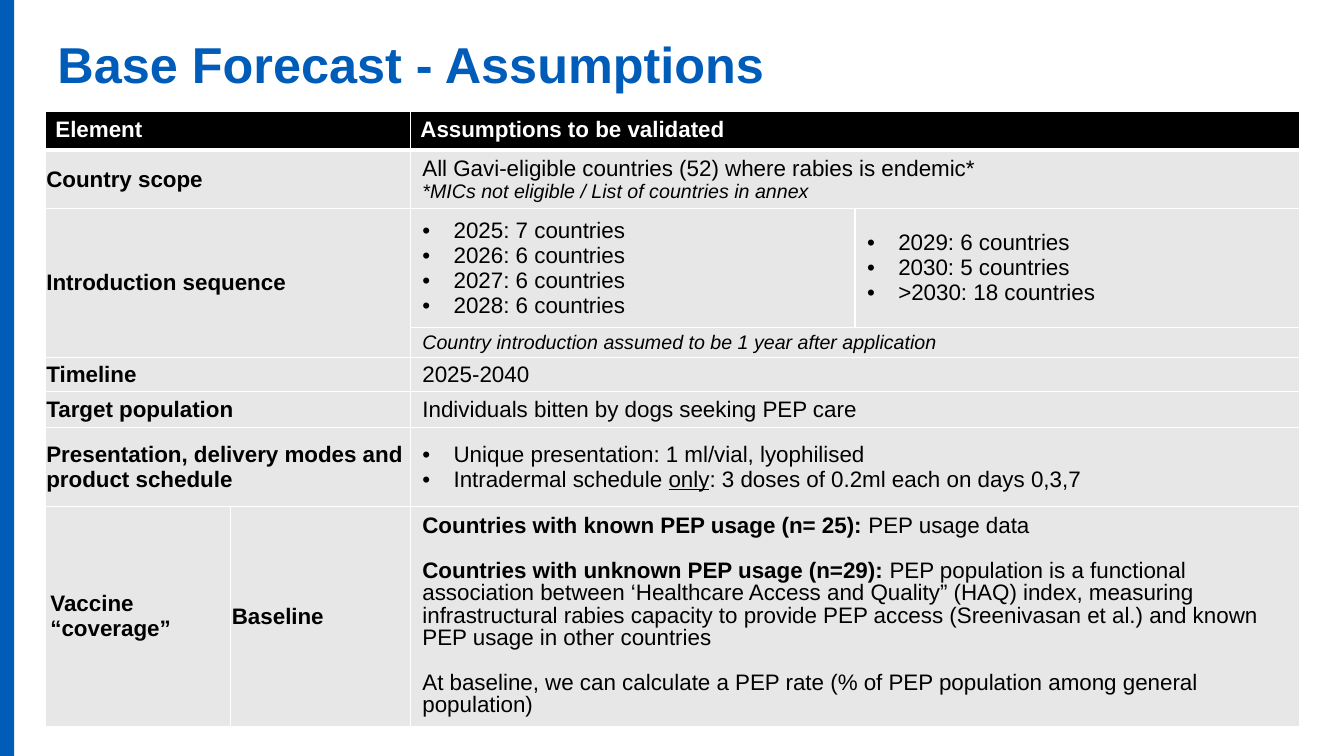
from lxml.etree import SubElement
from pptx import Presentation
from pptx.dml.color import RGBColor
from pptx.enum.shapes import MSO_SHAPE as Preset
from pptx.enum.text import MSO_ANCHOR as Anchor
from pptx.oxml.ns import qn
from pptx.util import Inches, Pt

BLUE, BLACK, WHITE, GREY = "005CB9", "000000", "FFFFFF", "E7E7E7"
COLUMN_WIDTHS = [1.84, 1.78, 4.41, 4.41]
ROW_HEIGHTS = [0.38, 0.58, 1.18, 0.28, 0.34, 0.36, 0.78, 2.05]

BOLD = {"bold": True}
NOTE = {"size": Pt(14), "italic": True}
HEADER = {"fill": BLACK, "color": WHITE, "margins": (0.1, 0.05, 0.1, 0.05), "anchor": Anchor.TOP}
LABEL = {"margins": (0.01, 0.03, 0.01, 0.03)}
VALUE = {"margins": (0.12, 0.03, 0.1, 0.03)}
BULLETS = {**VALUE, "bulleted": True}
WIDE_BULLETS = {**BULLETS, "margins": (0.12, 0.03, 0.01, 0.03)}
COVERAGE = {"margins": (0.05, 0.07, 0.05, 0.07)}
BASELINE = {**VALUE, "line_spacing": 0.9, "gap": Pt(16)}


def rgb(color):
    return RGBColor.from_string(color)


def set_attributes(target, values):
    for name, value in values.items():
        setattr(target, name, value)


def set_margins(frame, margins):
    sides = ("margin_left", "margin_top", "margin_right", "margin_bottom")
    set_attributes(frame, {side: Inches(size) for side, size in zip(sides, margins)})


def add_bullet(paragraph):
    properties = paragraph._p.get_or_add_pPr()
    properties.set("marL", str(Inches(0.31)))
    properties.set("indent", str(-Inches(0.31)))
    SubElement(properties, qn("a:buFont")).set("typeface", "Arial")
    SubElement(properties, qn("a:buChar")).set("char", "•")


def write_text(frame, paragraphs, color=BLACK, bulleted=False, line_spacing=None, gap=None):
    for index, runs in enumerate(paragraphs):
        paragraph = frame.add_paragraph() if index else frame.paragraphs[0]
        if bulleted:
            add_bullet(paragraph)
        if line_spacing:
            paragraph.line_spacing = line_spacing
        if gap and index:
            paragraph.space_before = gap
        for text, formats in runs:
            run = paragraph.add_run()
            run.text = text
            set_attributes(run.font, {"name": "Arial", "size": Pt(16), "bold": False, **formats})
            run.font.color.rgb = rgb(color)


def add_borders(cell, bottom_width):
    properties = cell._tc.get_or_add_tcPr()
    for side, width in (("L", 1), ("R", 1), ("T", 1), ("B", bottom_width)):
        line = SubElement(properties, qn(f"a:ln{side}"), w=str(Pt(width)))
        fill = SubElement(line, qn("a:solidFill"))
        SubElement(fill, qn("a:srgbClr")).set("val", WHITE)


def style_grid(table):
    for row_index, row in enumerate(table.rows):
        for cell in row.cells:
            add_borders(cell, 1 if row_index else 3)
            cell.fill.solid()
            cell.fill.fore_color.rgb = rgb(GREY if row_index else BLACK)


def fill_cell(table, row, column, paragraphs, style, span=(1, 1)):
    cell = table.cell(row, column)
    if span != (1, 1):
        cell.merge(table.cell(row + span[0] - 1, column + span[1] - 1))
    options = {name: style[name] for name in ("color", "bulleted", "line_spacing", "gap") if name in style}
    cell.vertical_anchor = style.get("anchor", Anchor.MIDDLE)
    set_margins(cell, style["margins"])
    write_text(cell.text_frame, paragraphs, **options)


def add_side_bar(slide):
    shape = slide.shapes.add_shape(Preset.RECTANGLE, 0, 0, Inches(0.14), Inches(7.5))
    shape.shadow.inherit = False
    shape.fill.solid()
    shape.fill.fore_color.rgb = rgb(BLUE)
    shape.line.fill.background()


def add_title(slide, text):
    shape = slide.shapes.add_textbox(Inches(0.57), Inches(0.4), Inches(12.2), Inches(0.65))
    frame = shape.text_frame
    frame.word_wrap = True
    set_margins(frame, (0, 0, 0, 0))
    write_text(frame, [[(text, {"size": Pt(36), "bold": True})]], color=BLUE, line_spacing=0.9)


def add_grid(slide):
    frame = slide.shapes.add_table(
        len(ROW_HEIGHTS), len(COLUMN_WIDTHS), Inches(0.45), Inches(1.11),
        Inches(sum(COLUMN_WIDTHS)), Inches(sum(ROW_HEIGHTS)))
    table = frame.table
    set_attributes(table, {"first_row": False, "horz_banding": False})
    for column, width in zip(table.columns, COLUMN_WIDTHS):
        column.width = Inches(width)
    for row, height in zip(table.rows, ROW_HEIGHTS):
        row.height = Inches(height)
    style_grid(table)
    return table


def plain(*lines):
    return [[(line, {})] for line in lines]


def add_assumptions(slide):
    table = add_grid(slide)
    wide = (1, 2)
    for column, heading in ((0, "Element"), (2, "Assumptions to be validated")):
        fill_cell(table, 0, column, [[(heading, BOLD)]], HEADER, wide)

    labels = [
        (1, 0, "Country scope", LABEL, wide),
        (2, 0, "Introduction sequence", LABEL, (2, 2)),
        (4, 0, "Timeline", LABEL, wide),
        (5, 0, "Target population", LABEL, wide),
        (6, 0, "Presentation, delivery modes and product schedule", LABEL, wide),
        (7, 0, "Vaccine “coverage”", COVERAGE, (1, 1)),
        (7, 1, "Baseline", LABEL, (1, 1)),
    ]
    for row, column, text, style, span in labels:
        fill_cell(table, row, column, [[(text, BOLD)]], style, span)

    scope = [
        [("All Gavi-eligible countries (52) where rabies is endemic*", {})],
        [("*MICs not eligible / List of countries in annex", NOTE)],
    ]
    early = plain("2025: 7 countries", "2026: 6 countries", "2027: 6 countries", "2028: 6 countries")
    late = plain("2029: 6 countries", "2030: 5 countries", ">2030: 18 countries")
    delay = [[("Country introduction assumed to be 1 year after application", NOTE)]]
    schedule = [
        [("Unique presentation: 1 ml/vial, lyophilised", {})],
        [("Intradermal schedule ", {}), ("only", {"underline": True}),
         (": 3 doses of 0.2ml each on days 0,3,7", {})],
    ]
    baseline = [
        [("Countries with known PEP usage (n= 25): ", BOLD), ("PEP usage data", {})],
        [("Countries with unknown PEP usage (n=29): ", BOLD),
         ("PEP population is a functional association between ‘Healthcare Access and Quality” (HAQ) "
          "index, measuring infrastructural rabies capacity to provide PEP access (Sreenivasan et al.) "
          "and known PEP usage in other countries", {})],
        [("At baseline, we can calculate a PEP rate (% of PEP population among general population)", {})],
    ]
    fill_cell(table, 1, 2, scope, VALUE, wide)
    fill_cell(table, 2, 2, early, BULLETS)
    fill_cell(table, 2, 3, late, BULLETS)
    fill_cell(table, 3, 2, delay, VALUE, wide)
    fill_cell(table, 4, 2, plain("2025-2040"), VALUE, wide)
    fill_cell(table, 5, 2, plain("Individuals bitten by dogs seeking PEP care"), VALUE, wide)
    fill_cell(table, 6, 2, schedule, WIDE_BULLETS, wide)
    fill_cell(table, 7, 2, baseline, BASELINE, wide)


def main():
    presentation = Presentation()
    set_attributes(presentation, {"slide_width": Inches(13.33), "slide_height": Inches(7.5)})
    slide = presentation.slides.add_slide(presentation.slide_layouts[6])
    add_side_bar(slide)
    add_title(slide, "Base Forecast - Assumptions")
    add_assumptions(slide)
    presentation.save("out.pptx")


if __name__ == "__main__":
    main()
